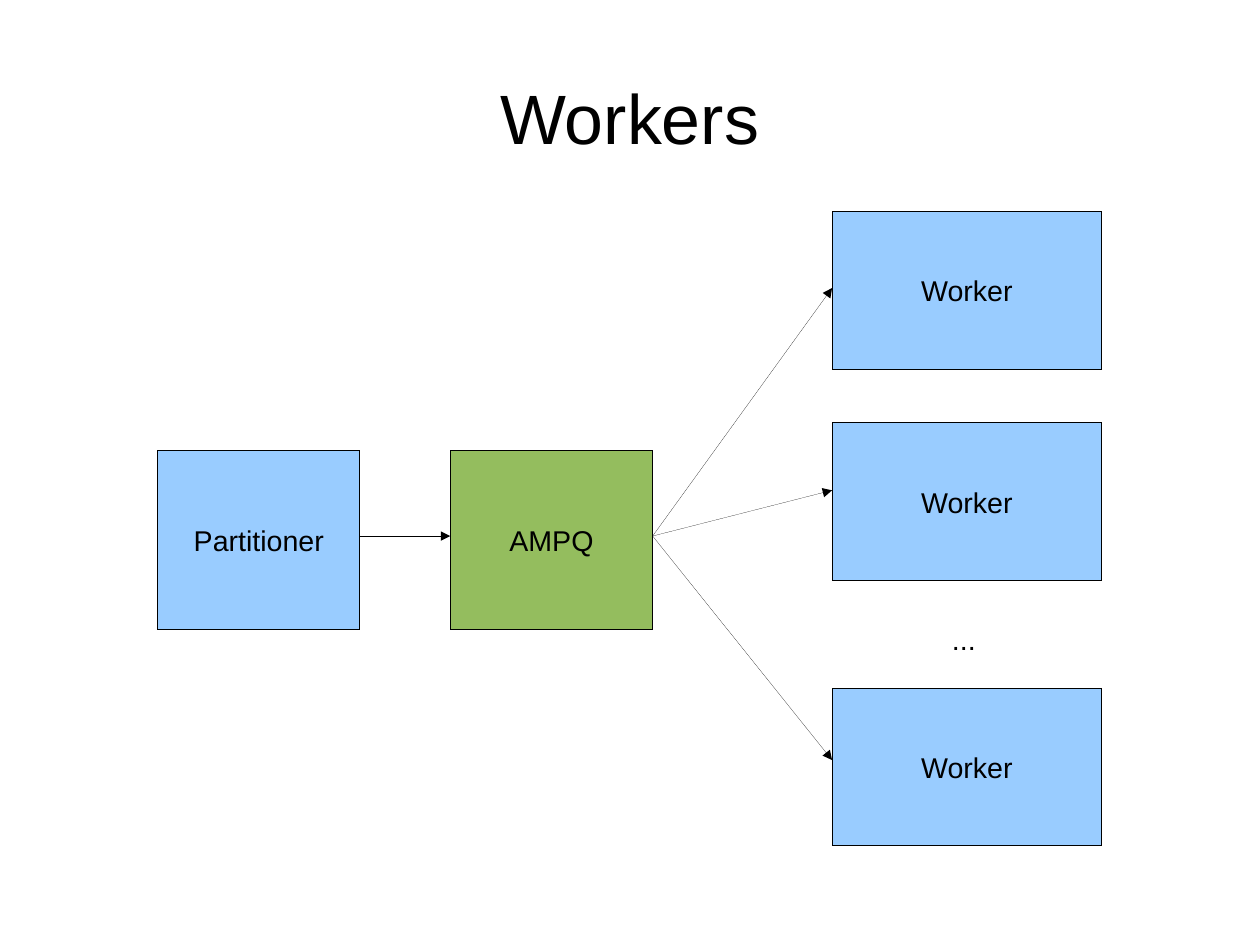
from lxml import etree
from pptx import Presentation
from pptx.dml.color import RGBColor
from pptx.enum.shapes import MSO_CONNECTOR, MSO_SHAPE
from pptx.enum.text import MSO_ANCHOR, PP_ALIGN
from pptx.oxml.ns import qn
from pptx.util import Inches, Pt

RECTANGLE = MSO_SHAPE.RECTANGLE
STRAIGHT = MSO_CONNECTOR.STRAIGHT
MIDDLE = MSO_ANCHOR.MIDDLE
CENTER = PP_ALIGN.CENTER
LEFT = PP_ALIGN.LEFT

BLACK = RGBColor(0x00, 0x00, 0x00)
BLUE = RGBColor(0x99, 0xCC, 0xFF)
GREEN = RGBColor(0x94, 0xBD, 0x5E)
FONT = "Arial"
CM_PER_INCH = 2.54


def write(frame, text, size=18, alignment=CENTER):
    paragraph = frame.paragraphs[0]
    paragraph.alignment = alignment
    run = paragraph.add_run()
    run.text = text
    run.font.name = FONT
    run.font.size = Pt(size)
    run.font.color.rgb = BLACK


def draw_hairline(shape):
    """Give a black line of zero width, free of the theme's line style."""
    shape._element.remove(shape._element.find(qn("p:style")))
    shape.line.color.rgb = BLACK
    shape.line.width = Pt(0)


def add_title(slide, left, top, width, height):
    title = slide.shapes.add_textbox(
        Inches(left), Inches(top), Inches(width), Inches(height))
    frame = title.text_frame
    frame.word_wrap = True
    frame.vertical_anchor = MIDDLE
    frame.margin_left = frame.margin_right = 0
    frame.margin_top = frame.margin_bottom = 0
    write(frame, "Workers", 44)


def add_node(slide, label, color, left, top, width, height):
    node = slide.shapes.add_shape(
        RECTANGLE, Inches(left), Inches(top), Inches(width), Inches(height))
    node.fill.solid()
    node.fill.fore_color.rgb = color
    draw_hairline(node)
    node.shadow.inherit = False
    node.text_frame.vertical_anchor = MIDDLE
    write(node.text_frame, label)


def add_arrow(slide, start, end):
    arrow = slide.shapes.add_connector(
        STRAIGHT, *(Inches(value) for value in (*start, *end)))
    draw_hairline(arrow)
    etree.SubElement(arrow.line._get_or_add_ln(), qn("a:tailEnd"), type="triangle")
    etree.SubElement(arrow._element.spPr, qn("a:effectLst"))


def add_queue(slide, left, top):
    """Place the partitioner and the queue it feeds; return the queue's outlet."""
    width, height, gap = 1.77, 1.57, 0.79
    queue_left = left + width + gap
    arrow_y = top + 0.75
    add_node(slide, "Partitioner", BLUE, left, top, width, height)
    add_node(slide, "AMPQ", GREEN, queue_left, top, width, height)
    add_arrow(slide, (left + width, arrow_y), (queue_left, arrow_y))
    return queue_left + width, arrow_y


def add_workers(slide, outlet, left, top):
    width, height = 2.36, 1.38
    for offset, inlet in ((0, 0.67), (1.85, 0.59), (4.17, 0.63)):
        worker_top = top + offset
        add_node(slide, "Worker", BLUE, left, worker_top, width, height)
        add_arrow(slide, outlet, (left, worker_top + inlet))
    ellipsis = slide.shapes.add_textbox(
        Inches(left + 0.95), Inches(top + 3.54), Inches(0.41), Inches(0.38))
    ellipsis.text_frame.word_wrap = False
    write(ellipsis.text_frame, "...", alignment=LEFT)


def main():
    deck = Presentation()
    deck.slide_width = Inches(28 / CM_PER_INCH)
    deck.slide_height = Inches(21 / CM_PER_INCH)
    slide = deck.slides.add_slide(deck.slide_layouts[6])
    add_title(slide, 0.55, 0.38, 9.92, 1.28)
    outlet = add_queue(slide, 1.38, 3.94)
    add_workers(slide, outlet, 7.28, 1.85)
    deck.save("out.pptx")


if __name__ == "__main__":
    main()
